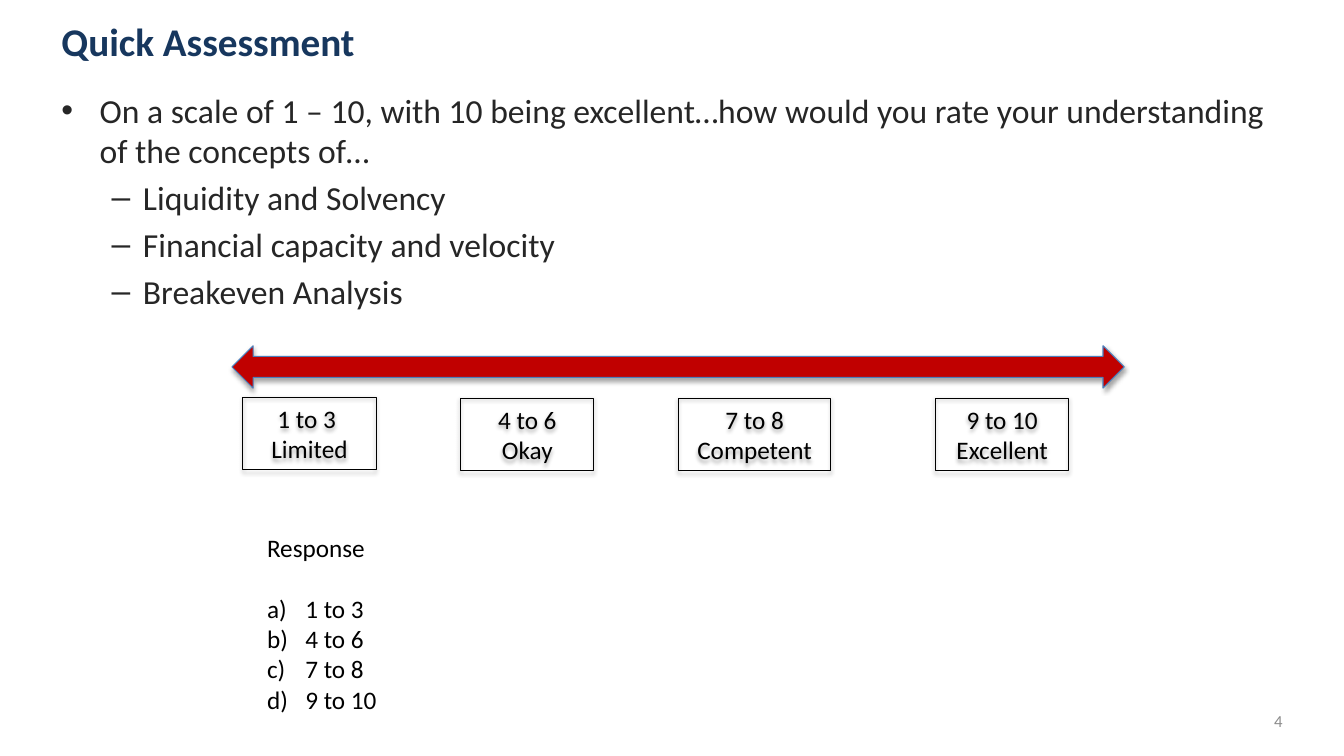
from lxml import etree
from pptx import Presentation, util as u
from pptx.dml.color import RGBColor
from pptx.enum import shapes, text
from pptx.oxml.ns import qn


def write(frame, lines, size, color, align=text.PP_ALIGN.LEFT, before=0):
    """Fill a frame with (text, level, bullet, left margin, hanging indent) lines."""
    frame.word_wrap = True
    for i, (words, level, bullet, margin, hang) in enumerate(lines):
        paragraph = frame.paragraphs[0] if i == 0 else frame.add_paragraph()
        paragraph.text = words
        paragraph.level = level
        paragraph.alignment = align
        paragraph.space_before = u.Pt(before)
        if bullet:
            props = paragraph._p.get_or_add_pPr()
            props.set("marL", str(u.Inches(margin)))
            props.set("indent", str(-u.Inches(hang)))
            if bullet == "a)":
                etree.SubElement(props, qn("a:buAutoNum"), type="alphaLcParenR")
            else:
                etree.SubElement(props, qn("a:buFont"), typeface="Arial")
                etree.SubElement(props, qn("a:buChar"), char=bullet)
        paragraph.font.name = "Calibri"
        paragraph.font.size = u.Pt(size)
        paragraph.font.color.rgb = RGBColor.from_string(color)


def outline_and_shade(shape, line_color):
    shape.line.color.rgb = RGBColor.from_string(line_color)
    shape.line.width = u.Pt(0.75)
    shape.shadow.inherit = False
    effects = shape._element.spPr.find(qn("a:effectLst"))
    shadow = etree.SubElement(effects, qn("a:outerShdw"), blurRad=str(u.Pt(3.1)),
                              dist=str(u.Pt(1.8)), dir="5400000", rotWithShape="0")
    black = etree.SubElement(shadow, qn("a:srgbClr"), val="000000")
    etree.SubElement(black, qn("a:alpha"), val="35000")


deck = Presentation()
deck.slide_width, deck.slide_height = u.Inches(13.33), u.Inches(7.5)
slide = deck.slides.add_slide(deck.slide_layouts[5])
left = u.Inches(0.51)

# Title and question
title = slide.shapes.title
title.left, title.top = left, u.Inches(0.05)
title.width, title.height = u.Inches(10.94), u.Inches(0.71)
title.text_frame.vertical_anchor = text.MSO_ANCHOR.MIDDLE
write(title.text_frame, [("Quick Assessment", 0, None, 0, 0)], 28, "17375E")
title.text_frame.paragraphs[0].font.bold = True

question = slide.shapes.add_textbox(left, u.Inches(0.84), u.Inches(12.31), u.Inches(6.05))
concepts = ["Liquidity and Solvency", "Financial capacity and velocity", "Breakeven Analysis"]
write(question.text_frame,
      [("On a scale of 1 – 10, with 10 being excellent…how would you rate your "
        "understanding of the concepts of…", 0, "•", 0.38, 0.38)]
      + [(concept, 1, "–", 0.81, 0.31) for concept in concepts],
      24, "262626", before=4.8)

page_number = slide.shapes.add_textbox(u.Inches(9.82), u.Inches(6.95), u.Inches(3), u.Inches(0.4))
page_number.text_frame.vertical_anchor = text.MSO_ANCHOR.MIDDLE
write(page_number.text_frame, [("4", 0, None, 0, 0)], 12, "8C8C8C", text.PP_ALIGN.RIGHT)

# Rating scale
scale = slide.shapes.add_shape(shapes.MSO_SHAPE.LEFT_RIGHT_ARROW, u.Inches(2.3),
                               u.Inches(3.43), u.Inches(8.85), u.Inches(0.42))
scale.fill.solid()
scale.fill.fore_color.rgb = RGBColor.from_string("C00000")
outline_and_shade(scale, "4B7EBC")

ratings = [
    (2.41, 3.94, 1.32, ["1 to 3 ", "Limited"]),
    (4.57, 3.95, 1.32, ["4 to 6", "Okay"]),
    (6.73, 3.95, 1.51, ["7 to 8", "Competent"]),
    (9.28, 3.95, 1.32, ["9 to 10 Excellent"]),
]
for x, y, width, labels in ratings:
    rating = slide.shapes.add_shape(shapes.MSO_SHAPE.RECTANGLE, u.Inches(x), u.Inches(y),
                                    u.Inches(width), u.Inches(0.72))
    rating.fill.background()
    outline_and_shade(rating, "000000")
    rating.text_frame.vertical_anchor = text.MSO_ANCHOR.MIDDLE
    write(rating.text_frame, [(label, 0, None, 0, 0) for label in labels],
          18, "000000", text.PP_ALIGN.CENTER)

# Answer choices
response = slide.shapes.add_textbox(u.Inches(2.55), u.Inches(5.23), u.Inches(5.68), u.Inches(1.92))
choices = ["1 to 3", "4 to 6", "7 to 8", "9 to 10"]
write(response.text_frame,
      [("Response", 0, None, 0, 0)] + [(choice, 0, "a)", 0.38, 0.38) for choice in choices],
      18, "000000")
response.text_frame.paragraphs[0].space_after = u.Pt(22)

deck.save("out.pptx")
